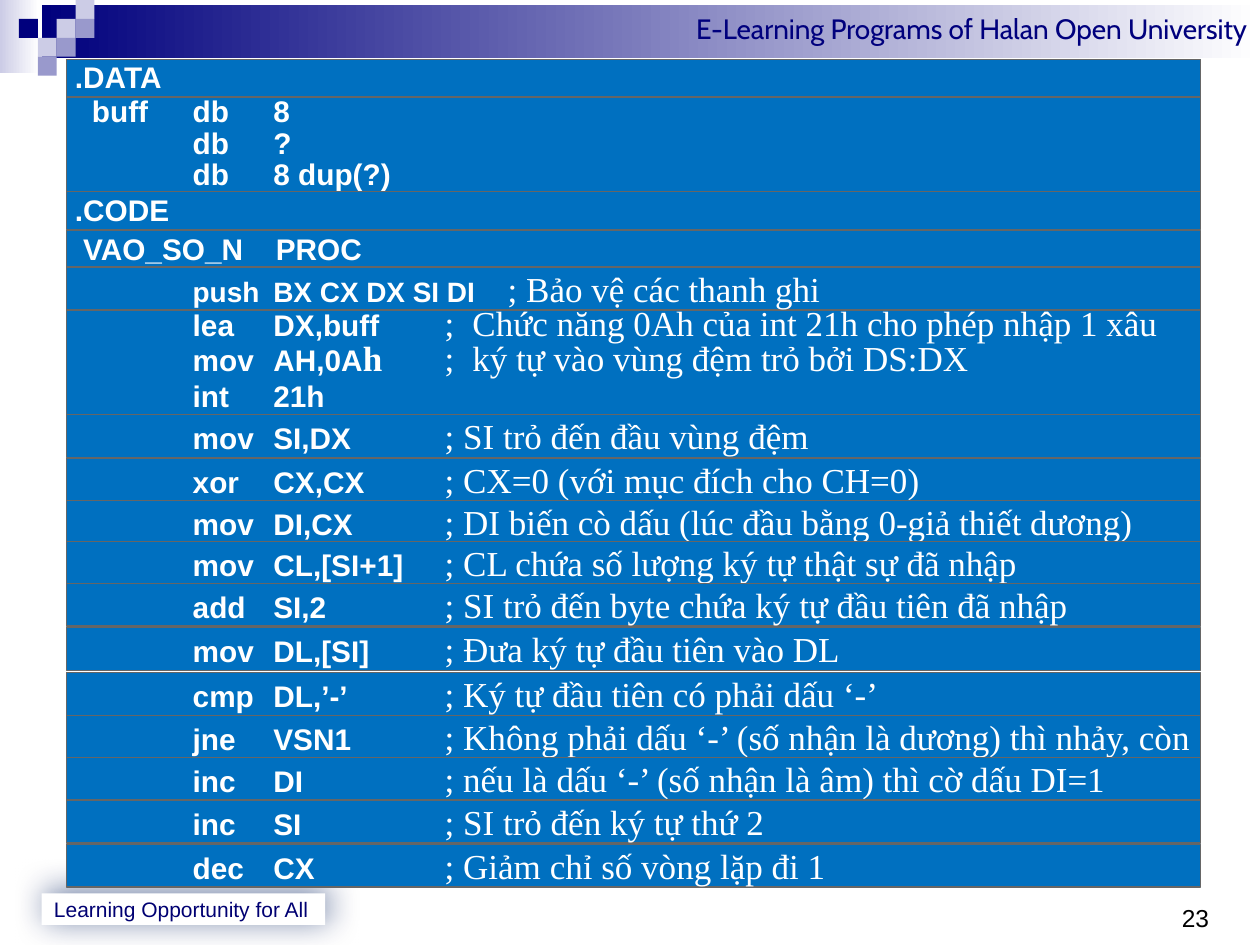
from lxml.etree import SubElement
from pptx import Presentation
from pptx.dml.color import RGBColor
from pptx.enum.shapes import MSO_SHAPE
from pptx.enum.text import MSO_ANCHOR, MSO_AUTO_SIZE, PP_ALIGN
from pptx.oxml.ns import qn
from pptx.util import Inches, Pt

COLORS = {
    "navy": "00007D", "ink": "000072", "glow": "002060", "lilac": "CCCCE6",
    "mauve": "9999CC", "row": "0070C0", "edge": "666666",
    "white": "FFFFFF", "black": "000000",
}
CELL = 0.15                  # side of a corner square
LEFT, WIDE, HIGH = 0.53, 9, 0.34   # listing rows
STOPS = (1, 1.64, 3)         # operation, operand, comment

# Single-line rows: top, code, comment
STEPS = [
    (3.29, "mov\tSI,DX", "; SI trỏ đến đầu vùng đệm"),
    (3.64, "xor\tCX,CX", "; CX=0 (với mục đích cho CH=0)"),
    (3.97, "mov\tDI,CX", "; DI biến cò dấu (lúc đầu bằng 0-giả thiết dương)"),
    (4.30, "mov\tCL,[SI+1]", "; CL chứa số lượng ký tự thật sự đã nhập"),
    (4.63, "add\tSI,2", "; SI trỏ đến byte chứa ký tự đầu tiên đã nhập"),
    (4.98, "mov\tDL,[SI]", "; Đưa ký tự đầu tiên vào DL"),
    (5.34, "cmp\tDL,’-’", "; Ký tự đầu tiên có phải dấu ‘-’"),
    (5.68, "jne\tVSN1", "; Không phải dấu ‘-’ (số nhận là dương) thì nhảy, còn"),
    (6.01, "inc\tDI", "; nếu là dấu ‘-’ (số nhận là âm) thì cờ dấu DI=1"),
    (6.35, "inc\tSI", "; SI trỏ đến ký tự thứ 2"),
    (6.70, "dec\tCX", "; Giảm chỉ số vòng lặp đi 1"),
]


def tint(name):
    return RGBColor.from_string(COLORS[name])


def add_run(para, text, size, color, font="Arial", bold=False):
    run = para.add_run()
    run.text = text
    run.font.size, run.font.name, run.font.bold = Pt(size), font, bold
    run.font.color.rgb = tint(color)


def code(text, size=17):
    return text, size, "white", "Arial", True


def note(text, bold=False):
    return text, 20, "white", "Times New Roman", bold


def add_box(slide, box, fill, fade=None):
    """Rectangle without line; fade is the end colour of a gradient."""
    shape = slide.shapes.add_shape(MSO_SHAPE.RECTANGLE, *map(Inches, box))
    shape.shadow.inherit = False
    shape.line.fill.background()
    if fade:
        shape.fill.gradient()
        shape.fill.gradient_angle = 0
        for stop, name in zip(shape.fill.gradient_stops, (fill, fade)):
            stop.color.rgb = tint(name)
    else:
        shape.fill.solid()
        shape.fill.fore_color.rgb = tint(fill)
    return shape


def set_tabs(para, stops):
    tabs = SubElement(para._p.get_or_add_pPr(), qn("a:tabLst"))
    for stop in stops:
        SubElement(tabs, qn("a:tab"), pos=str(Inches(stop)), algn="l")


def add_row(slide, top, lines, high=HIGH, stops=STOPS, pitch=None):
    """Listing row; each line is a list of runs."""
    shape = add_box(slide, (LEFT, top, WIDE, high), "row")
    shape.line.color.rgb = tint("edge")
    shape.line.width = Pt(0.75)
    frame = shape.text_frame
    frame.margin_left = frame.margin_right = 0
    frame.margin_top = frame.margin_bottom = 0
    frame.vertical_anchor = MSO_ANCHOR.TOP
    frame.auto_size = MSO_AUTO_SIZE.SHAPE_TO_FIT_TEXT
    for i, line in enumerate(lines):
        para = frame.add_paragraph() if i else frame.paragraphs[0]
        para.alignment = PP_ALIGN.LEFT
        if pitch:
            para.line_spacing = Pt(pitch)
        set_tabs(para, stops)
        for run in line:
            add_run(para, *run)


def add_glow(shape):
    effects = shape._element.spPr.find(qn("a:effectLst"))
    glow = SubElement(effects, qn("a:outerShdw"), blurRad=str(Pt(19)),
                      dist=str(Pt(3)), dir=str(315 * 60000), algn="ctr")
    color = SubElement(glow, qn("a:srgbClr"), val=COLORS["glow"])
    SubElement(color, qn("a:alpha"), val="56000")


def add_frame(slide):
    # Header bar
    add_box(slide, (0, 0, 0.31, 0.58), "lilac", "white")
    bar = add_box(slide, (0.33, 0.04, 9.67, 0.42), "navy", "white")
    bar.text_frame.vertical_anchor = MSO_ANCHOR.TOP
    para = bar.text_frame.paragraphs[0]
    para.alignment = PP_ALIGN.RIGHT
    add_run(para, "E-Learning Programs of Halan Open University",
            16, "navy", "Cabin")

    # Corner squares by column and row
    for col, row, name in [(3, 1, "lilac"), (4, 0, "lilac"), (4, 1, "mauve"),
                           (2, 2, "lilac"), (1, 1, "navy"), (3, 2, "mauve"),
                           (2, 3, "mauve")]:
        add_box(slide, (col * CELL, row * CELL, CELL, CELL), name)

    # Motto and page number
    motto = add_box(slide, (0.33, 7.09, 2.25, 0.25), "white")
    add_glow(motto)
    motto.text_frame.vertical_anchor = MSO_ANCHOR.MIDDLE
    para = motto.text_frame.paragraphs[0]
    para.alignment = PP_ALIGN.LEFT
    add_run(para, "Learning Opportunity for All", 12, "ink")
    page = slide.shapes.add_textbox(*map(Inches, (9.38, 7.12, 0.3, 0.3)))
    page.text_frame.word_wrap = True
    page.text_frame.margin_left = page.text_frame.margin_right = 0
    add_run(page.text_frame.paragraphs[0], "23", 14, "black")


def add_code(slide):
    # Data segment
    add_row(slide, 0.47, [[code(" .DATA")]], 0.3)
    add_row(slide, 0.77, [[code("\tbuff\tdb\t8")], [code("\t\tdb\t?")],
                          [code("\t\tdb\t8 dup(?)")]],
            0.76, (0.2, 1, 1.64), 18)

    # Code segment and procedure head
    add_row(slide, 1.52, [[code(" .CODE")]], 0.3)
    add_row(slide, 1.83, [[code("\tVAO_SO_N\tPROC")]], 0.29, (0.13, 1.66))
    add_row(slide, 2.45, [
        [code("\tlea\tDX,buff\t"),
         note(";\tChức năng 0Ah của int 21h cho phép nhập 1 xâu")],
        [code("\tmov\tAH,0A"), note("h\t", True),
         note(";\tký tự vào vùng đệm trỏ bởi DS:DX")],
        [code("\tint\t21h")],
    ], 0.84, STOPS + (3.22,), 20)

    # Instructions with comments
    for top, step, text in STEPS:
        add_row(slide, top, [[code(f"\t{step}\t"), note(text)]])
    add_row(slide, 2.12, [[code("\tpush\tBX CX DX SI DI\t", 16),
                           note("; Bảo vệ các thanh ghi")]],
            stops=(1, 1.64, 3.5))


def main():
    deck = Presentation()
    deck.slide_width, deck.slide_height = Inches(10), Inches(7.5)
    slide = deck.slides.add_slide(deck.slide_layouts[6])
    add_frame(slide)
    add_code(slide)
    deck.save("out.pptx")


if __name__ == "__main__":
    main()
